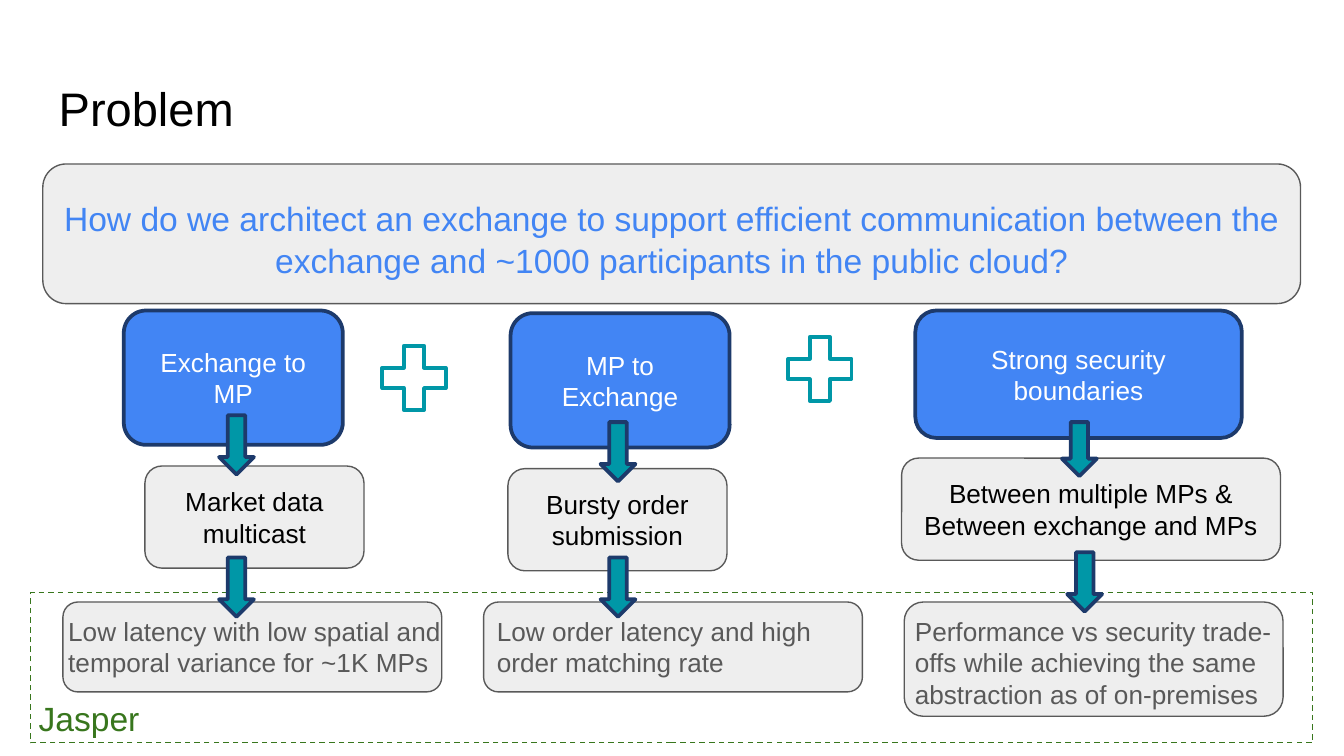
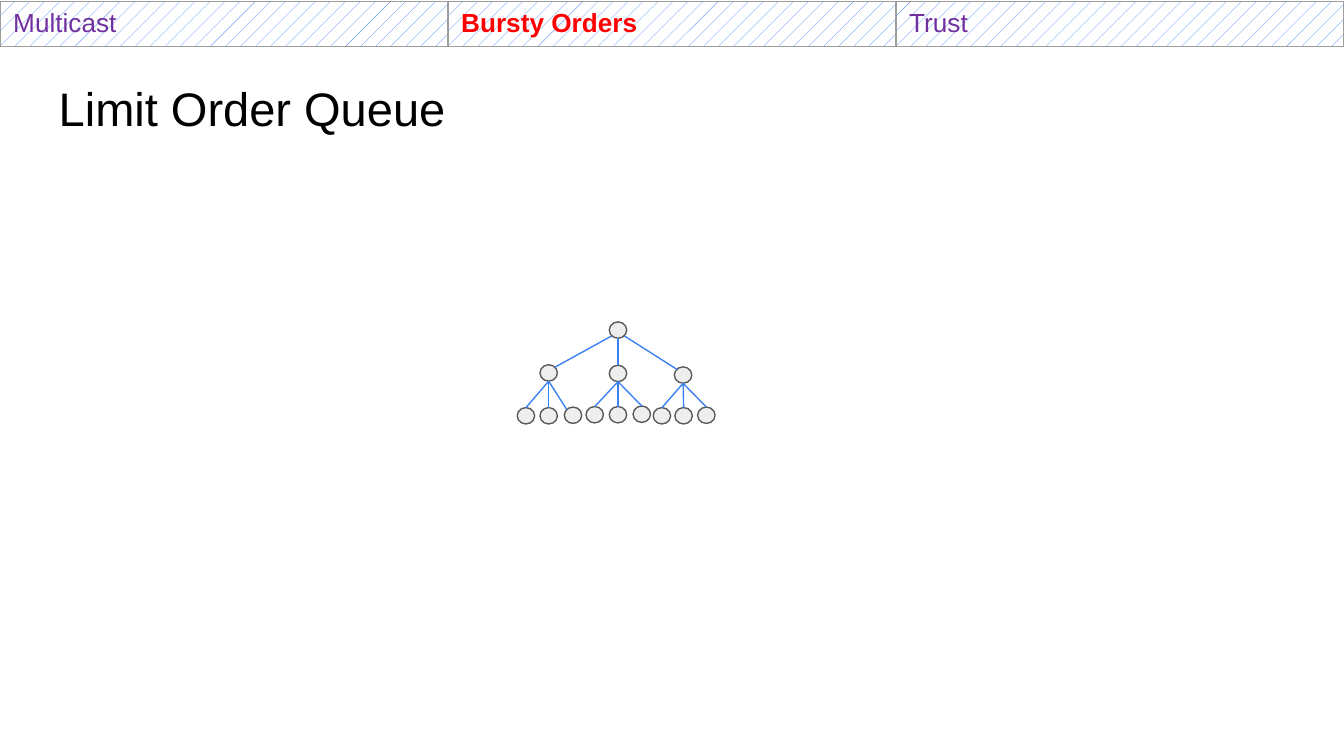
"""Builds two slides on exchange design: the problem and the limit order queue."""
from lxml import etree
from pptx import Presentation
from pptx.dml.color import RGBColor
from pptx.enum.dml import MSO_LINE, MSO_PATTERN
from pptx.enum.shapes import MSO_CONNECTOR, MSO_SHAPE
from pptx.enum.text import MSO_ANCHOR, PP_ALIGN
from pptx.oxml.ns import qn
from pptx.util import Cm, Pt

ROUNDED, PLUS, ARROW = MSO_SHAPE.ROUNDED_RECTANGLE, MSO_SHAPE.MATH_PLUS, MSO_SHAPE.DOWN_ARROW
RECTANGLE, CIRCLE = MSO_SHAPE.RECTANGLE, MSO_SHAPE.OVAL
STRAIGHT, DASH, DOTTED = MSO_CONNECTOR.STRAIGHT, MSO_LINE.DASH, MSO_PATTERN.PERCENT_10
LEFT, CENTER = PP_ALIGN.LEFT, PP_ALIGN.CENTER
TOP, MIDDLE = MSO_ANCHOR.TOP, MSO_ANCHOR.MIDDLE

BLACK = RGBColor(0x00, 0x00, 0x00)
WHITE = RGBColor(0xFF, 0xFF, 0xFF)
BLUE = RGBColor(0x42, 0x85, 0xF4)
NAVY = RGBColor(0x1D, 0x3A, 0x6B)
EDGE_BLUE = RGBColor(0x3C, 0x81, 0xF3)
TEAL = RGBColor(0x00, 0x97, 0xA7)
GREEN = RGBColor(0x38, 0x76, 0x1D)
PALE = RGBColor(0xEE, 0xEE, 0xEE)
GRAY = RGBColor(0x59, 0x59, 0x59)
PURPLE = RGBColor(0x70, 0x30, 0xA0)
RED = RGBColor(0xFF, 0x00, 0x00)
FONT = "Arial"
THIN, THICK = Pt(0.75), Pt(2)


def add_shape(slide, kind, place, fill, line, width):
    shape = slide.shapes.add_shape(kind, *[Cm(length) for length in place])
    shape.shadow.inherit = False
    if fill is None:
        shape.fill.background()
    else:
        shape.fill.solid()
        shape.fill.fore_color.rgb = fill
    shape.line.color.rgb = line
    shape.line.width = width
    return shape


def write(holder, lines, size, color, align=LEFT, anchor=TOP):
    frame = holder.text_frame
    frame.word_wrap = True
    frame.vertical_anchor = anchor
    frame.margin_left = frame.margin_right = Cm(0.25)
    frame.margin_top = frame.margin_bottom = Cm(0.25)
    for index, line in enumerate(lines):
        paragraph = frame.add_paragraph() if index else frame.paragraphs[0]
        paragraph.alignment = align
        run = paragraph.add_run()
        run.text = line
        run.font.name = FONT
        run.font.size = Pt(size)
        run.font.color.rgb = color
    return frame


deck = Presentation()
deck.slide_width, deck.slide_height = Cm(25.4), Cm(14.29)

slides = []
for heading in ("Problem", "Limit Order Queue"):
    slide = deck.slides.add_slide(deck.slide_layouts[6])
    title = slide.shapes.add_textbox(Cm(0.86), Cm(1.24), Cm(23.67), Cm(1.6))
    write(title, [heading], 25.2, BLACK, anchor=MIDDLE)
    slides.append(slide)
problem, queue = slides

scope = add_shape(problem, RECTANGLE, (0.58, 11.2, 24.23, 2.84), None, GREEN, THIN)
scope.line.dash_style = DASH
system = problem.shapes.add_textbox(Cm(0.48), Cm(12.95), Cm(2.54), Cm(1.27))
write(system, ["Jasper"], 18, GREEN)

add_shape(problem, ROUNDED, (0.81, 3.1, 23.77, 2.64), PALE, GRAY, THIN)
question = problem.shapes.add_textbox(Cm(0.86), Cm(3.45), Cm(23.67), Cm(2.64))
wording = write(question, ["How do we architect an exchange to support efficient communication "
                           "between the exchange and ~1000 participants in the public cloud?"],
                18, BLUE, CENTER)
wording.paragraphs[0].line_spacing = 1.05

challenges = [
    ("Exchange to MP", (2.34, 5.87, 4.14, 2.54),
     ["Market data multicast"], (2.74, 8.81, 4.14, 1.93),
     "Low latency with low spatial and temporal variance for ~1K MPs",
     (1.19, 11.38, 7.16, 1.7), (1.04, 11.38, 7.92, 1.7),
     [(4.14, 7.85, 0.66, 1.12), (4.14, 10.54, 0.66, 1.12)]),
    ("MP to Exchange", (9.65, 5.92, 4.14, 2.54),
     ["Bursty order submission"], (9.6, 8.86, 4.14, 1.93),
     "Low order latency and high order matching rate",
     (9.14, 11.38, 7.16, 1.7), (9.14, 11.38, 7.14, 1.7),
     [(11.35, 7.98, 0.66, 1.12), (11.35, 10.54, 0.66, 1.12)]),
    ("Strong security boundaries", (17.3, 5.87, 6.17, 2.41),
     ["Between multiple MPs &", "Between exchange and MPs"], (17.04, 8.66, 7.16, 1.93),
     "Performance vs security trade-offs while achieving the same abstraction as of on-premises",
     (17.09, 11.38, 7.16, 2.16), (17.04, 11.38, 7.32, 2.31),
     [(20.07, 7.98, 0.66, 1.02), (20.17, 10.44, 0.66, 1.12)]),
]
for need, need_at, topic, topic_at, goal, goal_at, goal_text_at, arrows in challenges:
    need_box = add_shape(problem, ROUNDED, need_at, BLUE, NAVY, THICK)
    write(need_box, [need], 14, WHITE, CENTER, MIDDLE)
    topic_box = add_shape(problem, ROUNDED, topic_at, PALE, GRAY, THIN)
    write(topic_box, topic, 14, BLACK, CENTER, MIDDLE)
    add_shape(problem, ROUNDED, goal_at, PALE, GRAY, THIN)
    goal_text = problem.shapes.add_textbox(*[Cm(length) for length in goal_text_at])
    write(goal_text, [goal], 14, GRAY)
    for arrow_at in arrows:
        add_shape(problem, ARROW, arrow_at, TEAL, NAVY, THICK)

for left, top in ((7.01, 6.32), (14.68, 6.15)):
    add_shape(problem, PLUS, (left, top, 1.63, 1.65), WHITE, TEAL, THICK)

agenda = queue.shapes.add_table(1, 3, Cm(0), Cm(0.03), Cm(25.4), Cm(0.84)).table
agenda.first_row = agenda.horz_banding = False
for column, (section, current) in enumerate(
        (("Multicast", False), ("Bursty Orders", True), ("Trust", False))):
    cell = agenda.cell(0, column)
    cell.margin_left = cell.margin_right = Cm(0.25)
    cell.margin_top = cell.margin_bottom = Cm(0.13)
    run = cell.text_frame.paragraphs[0].add_run()
    run.text = section
    run.font.name = FONT
    run.font.size = Pt(14)
    run.font.bold = current
    run.font.color.rgb = RED if current else PURPLE
    properties = cell._tc.get_or_add_tcPr()
    for side in ("a:lnL", "a:lnR", "a:lnT", "a:lnB"):
        border = etree.SubElement(properties, qn(side), w=str(THIN))
        paint = etree.SubElement(border, qn("a:solidFill"))
        etree.SubElement(paint, qn("a:srgbClr"), val="9E9E9E")
    cell.fill.patterned()
    cell.fill.pattern = DOTTED
    cell.fill.fore_color.rgb = BLUE
    cell.fill.back_color.rgb = WHITE

NODE_WIDTH, NODE_HEIGHT = 0.33, 0.31
SLANT_X, SLANT_Y = 0.12, 0.11
root_x, root_y = 11.68, 6.24
branches = [
    (10.37, 7.05, -1, [(9.94, 7.86, 0), (10.37, 7.86, 0), (10.83, 7.85, -1)]),
    (11.68, 7.06, 0, [(11.24, 7.84, 0), (11.68, 7.84, 0), (12.13, 7.83, 0)]),
    (12.91, 7.09, 1, [(12.51, 7.86, 0), (12.92, 7.86, 0), (13.35, 7.85, 0)]),
]
nodes, edges = [(root_x, root_y)], []
for x, y, side, leaves in branches:
    reach = SLANT_Y if side else NODE_HEIGHT / 2
    nodes.append((x, y))
    edges.append((root_x + side * SLANT_X, root_y + reach, x - side * SLANT_X, y - reach))
    for leaf_x, leaf_y, entry in leaves:
        drop = SLANT_Y if entry else NODE_HEIGHT / 2
        nodes.append((leaf_x, leaf_y))
        edges.append((x, y + NODE_HEIGHT / 2, leaf_x + entry * SLANT_X, leaf_y - drop))

for x, y in nodes:
    add_shape(queue, CIRCLE, (x - NODE_WIDTH / 2, y - NODE_HEIGHT / 2, NODE_WIDTH, NODE_HEIGHT),
              PALE, GRAY, THIN)
for ends in edges:
    edge = queue.shapes.add_connector(STRAIGHT, *[Cm(length) for length in ends])
    edge.line.color.rgb = EDGE_BLUE
    edge.line.width = THIN
    etree.SubElement(edge._element.spPr, qn("a:effectLst"))

deck.save("out.pptx")
